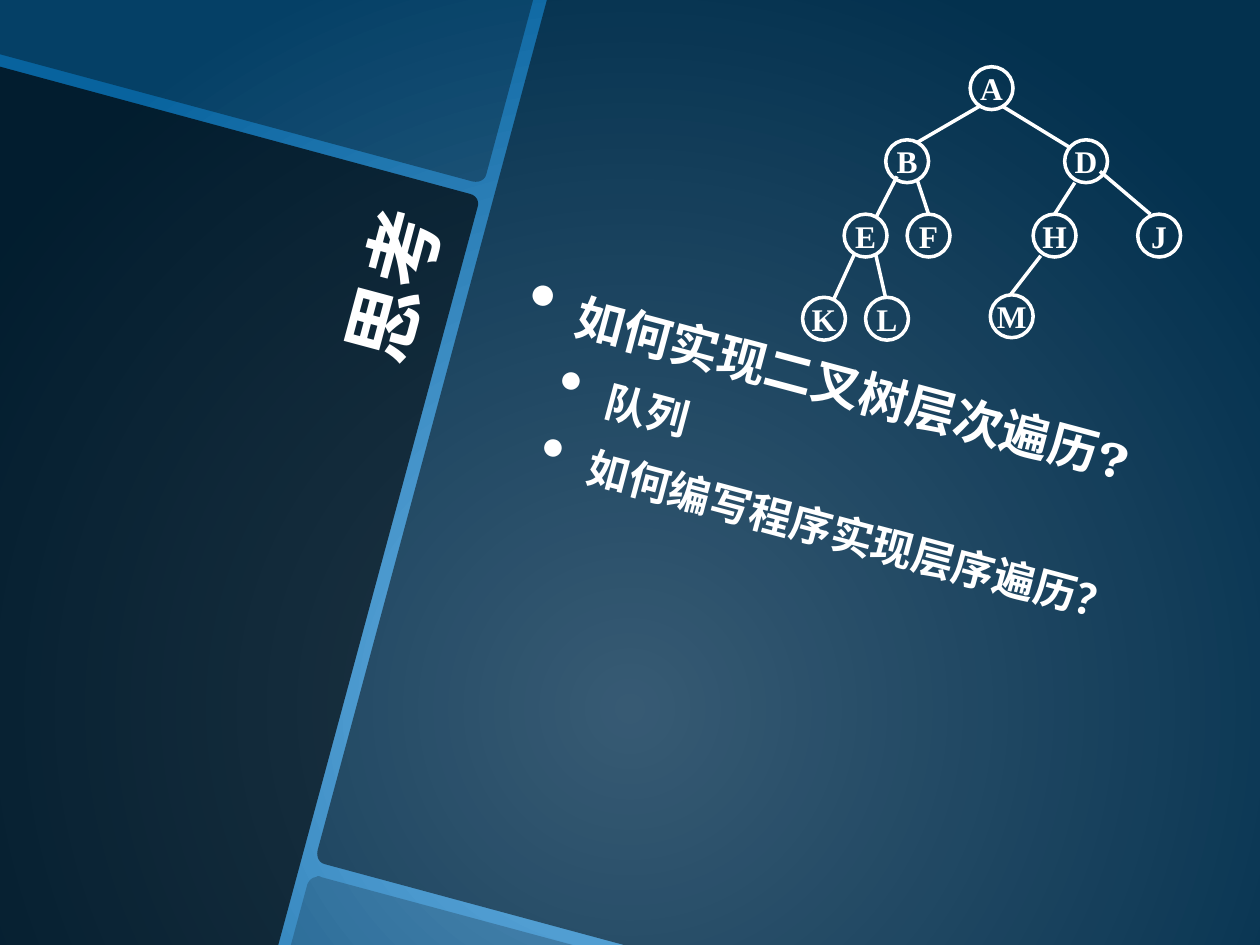
import math

from lxml import etree
from pptx import Presentation
from pptx import util as u
from pptx.dml.color import RGBColor
from pptx.enum import shapes, text
from pptx.oxml import ns

WHITE = RGBColor(0xFF, 0xFF, 0xFF)
BLACK = RGBColor(0, 0, 0)
SKY = RGBColor(0x70, 0xB6, 0xE8)
OCEAN = RGBColor(0x08, 0x63, 0x9E)
HEADING_FONT = "TeX Gyre Bonum"
NODE_FONT = "Times New Roman"
TILT = 15.1
NODE_SIZE = 0.34

PANELS = [
    ((-0.95, 0.93, 3.95, 6.73), 70,
     [(0, 0.53), (3.73, 1.54), (3.78, 1.55, 3.81, 1.6, 3.79, 1.65),
      (2.21, 7.5), (0, 7.5)]),
    ((0.02, -0.56, 4.09, 1.52), 35,
     [(0, 0), (4.23, 0), (3.86, 1.38), (3.85, 1.43, 3.8, 1.45, 3.75, 1.44),
      (0, 0.43)]),
    ((2.35, 7.21, 2.17, 0.59), 20,
     [(2.51, 6.96), (2.52, 6.95, 2.54, 6.95, 2.55, 6.96), (4.55, 7.5),
      (2.31, 7.5), (2.44, 7.02), (2.45, 6.99, 2.48, 6.96, 2.51, 6.96)]),
    ((3.48, -0.61, 7.42, 8.56), 50,
     [(4.34, 0), (10, 0), (10, 7.5), (4.95, 7.5), (2.58, 6.86),
      (2.53, 6.85, 2.51, 6.8, 2.52, 6.75)]),
]

QUESTIONS = [
    ("如何实现二叉树层次遍历?", 0, 28),
    ("队列", 1, 24),
    ("如何编写程序实现层序遍历？", 1, 24),
]

NODES = {
    "A": (1.33, 0), "B": (0.66, 0.58), "D": (2.08, 0.58),
    "F": (0.83, 1.17), "E": (0.33, 1.17), "H": (1.83, 1.17),
    "J": (2.66, 1.17), "M": (1.49, 1.81), "L": (0.5, 1.83), "K": (0, 1.83),
}

BRANCHES = [
    (1.89, 1.5, 1.65, 1.81), (1.41, 0.31, 0.91, 0.6),
    (1.58, 0.31, 2.12, 0.64), (0.75, 0.87, 0.58, 1.2),
    (0.91, 0.9, 1, 1.17), (0.41, 1.49, 0.25, 1.84),
    (0.58, 1.49, 0.66, 1.84), (2.16, 0.92, 2, 1.17),
    (2.36, 0.83, 2.76, 1.17),
]


def set_all(target, values):
    for name, value in values.items():
        setattr(target, name, value)


def style_font(font, name, size):
    set_all(font, {"name": name, "size": u.Pt(size), "bold": True})
    font.color.rgb = WHITE


def paint_background(slide):
    fill = slide.background.fill
    fill.gradient()
    for stop, color, position in zip(fill.gradient_stops, (SKY, OCEAN), (0, 1)):
        stop.color.rgb = color
        stop.position = position
    gradient = slide.element.find(".//" + ns.qn("a:gradFill"))
    gradient.remove(gradient.find(ns.qn("a:lin")))
    circle = etree.SubElement(gradient, ns.qn("a:path"), path="circle")
    etree.SubElement(circle, ns.qn("a:fillToRect"),
                     l="50000", t="50000", r="50000", b="0")


def trace_outline(segments, steps=6):
    points = []
    for segment in segments:
        if len(segment) == 2:
            points.append(segment)
            continue
        start, first, second, end = points[-1], segment[:2], segment[2:4], segment[4:]
        for t in (step / steps for step in range(1, steps + 1)):
            points.append(tuple(
                (1 - t) ** 3 * a + 3 * (1 - t) ** 2 * t * b
                + 3 * (1 - t) * t ** 2 * c + t ** 3 * d
                for a, b, c, d in zip(start, first, second, end)))
    return points


def add_panel(slide, box, opacity, segments):
    left, top, width, height = box
    center_x, center_y = left + width / 2, top + height / 2
    cos, sin = math.cos(math.radians(TILT)), math.sin(math.radians(TILT))
    level = [(u.Inches(center_x + (x - center_x) * cos + (y - center_y) * sin),
              u.Inches(center_y - (x - center_x) * sin + (y - center_y) * cos))
             for x, y in trace_outline(segments)]
    builder = slide.shapes.build_freeform(*level[0])
    builder.add_line_segments(level[1:], close=True)
    panel = builder.convert_to_shape()
    panel.rotation = TILT
    panel.shadow.inherit = False
    panel.line.fill.background()
    panel.fill.solid()
    panel.fill.fore_color.rgb = BLACK
    color = panel.element.spPr.find(".//" + ns.qn("a:srgbClr"))
    etree.SubElement(color, ns.qn("a:alpha"), val=str(opacity * 1000))


def add_title(slide, box):
    title = slide.shapes.add_textbox(*map(u.Inches, box))
    title.rotation = 285
    set_all(title.text_frame, {
        "word_wrap": True, "vertical_anchor": text.MSO_ANCHOR.BOTTOM})
    heading = title.text_frame.paragraphs[0]
    heading.text = "思考"
    heading.alignment = text.PP_ALIGN.RIGHT
    style_font(heading.runs[0].font, HEADING_FONT, 44)


def add_questions(slide, box):
    body = slide.shapes.add_textbox(*map(u.Inches, box))
    body.rotation = 15
    frame = body.text_frame
    set_all(frame, {"word_wrap": True, "margin_bottom": u.Inches(0.6),
                    "vertical_anchor": text.MSO_ANCHOR.MIDDLE})
    for index, (question, level, size) in enumerate(QUESTIONS):
        line = frame.add_paragraph() if index else frame.paragraphs[0]
        line.text = question
        set_all(line, {"level": level, "space_after": u.Pt(6),
                       "space_before": u.Pt(size * 0.2 if index else 0)})
        properties = line._p.get_or_add_pPr()
        properties.set("marL", str(u.Inches(0.4 * (level + 1))))
        properties.set("indent", str(u.Inches(-0.4)))
        etree.SubElement(properties, ns.qn("a:buSzPct"), val="160000")
        etree.SubElement(properties, ns.qn("a:buChar"), char="•")
        style_font(line.runs[0].font, HEADING_FONT, size)


def add_node(slide, letter, left, top):
    node = slide.shapes.add_shape(
        shapes.MSO_SHAPE.OVAL, u.Inches(left), u.Inches(top),
        u.Inches(NODE_SIZE), u.Inches(NODE_SIZE))
    node.shadow.inherit = False
    node.fill.background()
    node.line.color.rgb = WHITE
    node.line.width = u.Pt(2)
    set_all(node.text_frame, {
        "word_wrap": False, "vertical_anchor": text.MSO_ANCHOR.MIDDLE})
    label = node.text_frame.paragraphs[0]
    label.text = letter
    label.alignment = text.PP_ALIGN.CENTER
    style_font(label.runs[0].font, NODE_FONT, 18)


def add_tree(slide, left, top):
    for letter, (x, y) in NODES.items():
        add_node(slide, letter, left + x, top + y)
    for x1, y1, x2, y2 in BRANCHES:
        branch = slide.shapes.add_connector(
            shapes.MSO_CONNECTOR.STRAIGHT,
            u.Inches(left + x1), u.Inches(top + y1),
            u.Inches(left + x2), u.Inches(top + y2))
        branch.line.color.rgb = WHITE
        branch.line.width = u.Pt(2)
        etree.SubElement(branch.element.spPr, ns.qn("a:effectLst"))


def main():
    deck = Presentation()
    set_all(deck, {"slide_width": u.Inches(10), "slide_height": u.Inches(7.5)})
    slide = deck.slides.add_slide(deck.slide_layouts[6])
    paint_background(slide)
    for box, opacity, segments in PANELS:
        add_panel(slide, box, opacity, segments)
    add_title(slide, (-0.69, 3.2, 5.54, 1.85))
    add_questions(slide, (3.8, 1.05, 5.09, 5.55))
    add_tree(slide, 6.37, 0.53)
    deck.save("out.pptx")


if __name__ == "__main__":
    main()
